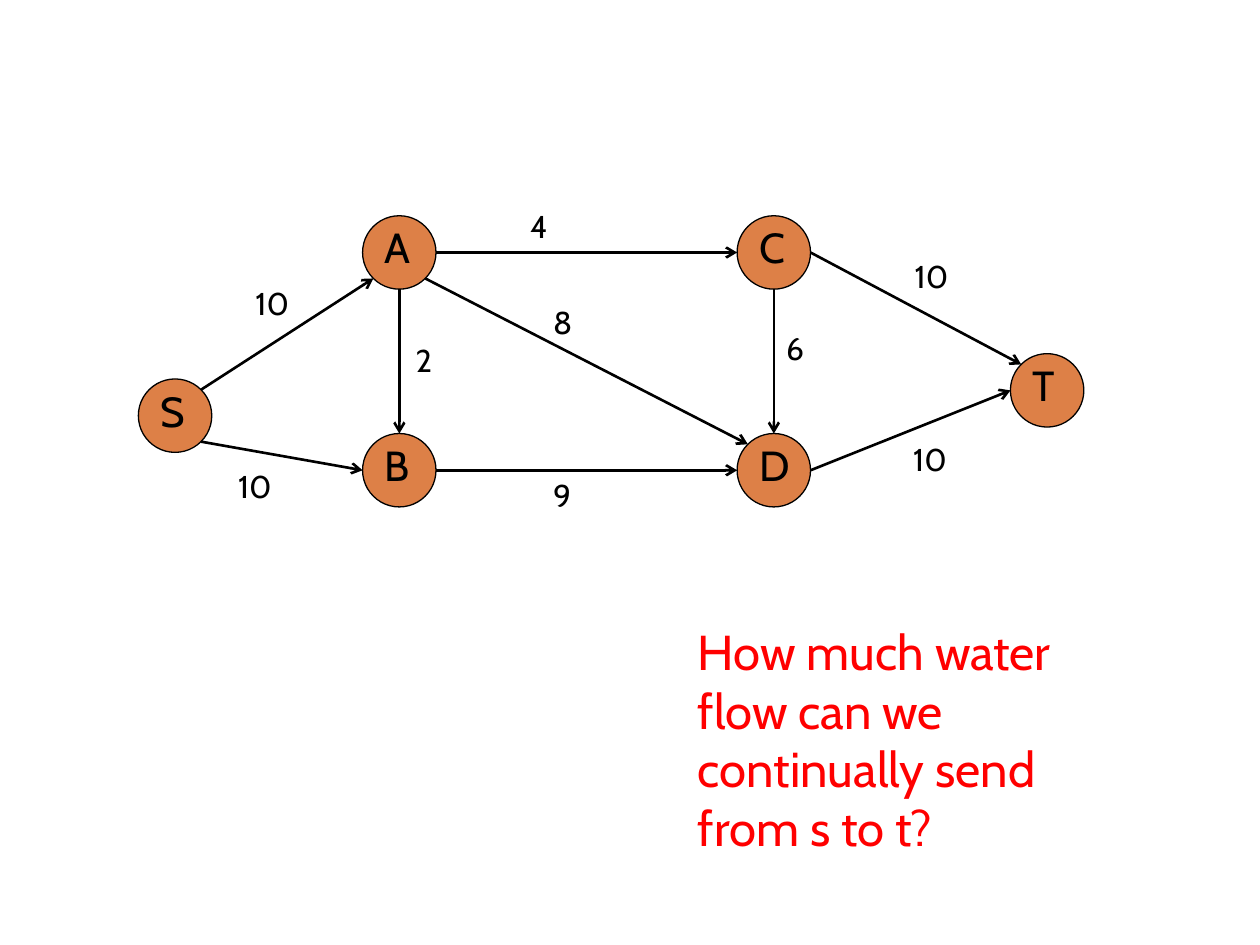
import math

import pptx
import pptx.dml.color
import pptx.enum.shapes
import pptx.enum.text
import pptx.util
from pptx.util import Cm
from lxml import etree

NODES = {
    "S": (3.53, 8.38),
    "A": (8.05, 5.09),
    "B": (8.05, 9.48),
    "C": (15.6, 5.09),
    "D": (15.6, 9.48),
    "T": (21.11, 7.87),
}
SIDES = {
    "right": 0, "lower right": 45, "bottom": 90, "lower left": 135,
    "left": 180, "upper left": 225, "top": 270, "upper right": 315,
}
EDGES = [
    ("S", "upper right", "A", "lower left", "10", (4.9, 5.61, 1.9)),
    ("S", "lower right", "B", "left", "10", (4.55, 9.3, 1.9)),
    ("A", "right", "C", "left", "4", (10.44, 4.04, 2.36)),
    ("A", "bottom", "B", "top", "2", (8.13, 6.76, 1.9)),
    ("A", "lower right", "D", "upper left", "8", (10.9, 5.99, 2.4)),
    ("B", "right", "D", "left", "9", (10.9, 9.47, 1.9)),
    ("C", "bottom", "D", "top", "6", (15.6, 6.5, 1.9)),
    ("C", "right", "T", "upper left", "10", (18.19, 5.05, 2.4)),
    ("D", "right", "T", "left", "10", (18.16, 8.74, 2.4)),
]
QUESTION = "How much water flow can we continually send from s to t?"

RADIUS = 0.74
LETTER_SIZE = 1.27
LETTER_SHIFT = 0.2
LABEL_HEIGHT = 1.02


def color(value):
    return pptx.dml.color.RGBColor.from_string(value)


def add_text(shapes, text, left, top, width, height, size=18, ink="000000"):
    box = shapes.add_textbox(Cm(left), Cm(top), Cm(width), Cm(height))
    frame = box.text_frame
    frame.word_wrap = True
    frame.auto_size = pptx.enum.text.MSO_AUTO_SIZE.SHAPE_TO_FIT_TEXT
    span = frame.paragraphs[0].add_run()
    span.text = text
    span.font.name = "Cabin"
    span.font.size = pptx.util.Pt(size)
    span.font.color.rgb = color(ink)


def add_node(page, name):
    x, y = NODES[name]
    left, top = x - RADIUS, y - RADIUS
    group = page.shapes.add_group_shape()
    circle = group.shapes.add_shape(
        pptx.enum.shapes.MSO_SHAPE.OVAL,
        Cm(left), Cm(top), Cm(2 * RADIUS), Cm(2 * RADIUS))
    circle.shadow.inherit = False
    circle.fill.solid()
    circle.fill.fore_color.rgb = color("DD8047")
    circle.line.color.rgb = color("000000")
    circle.line.width = pptx.util.Pt(0.75)
    add_text(group.shapes, name, left + LETTER_SHIFT, top,
             LETTER_SIZE, LETTER_SIZE, size=24)


def rim_point(name, side):
    x, y = NODES[name]
    angle = math.radians(SIDES[side])
    return Cm(x + RADIUS * math.cos(angle)), Cm(y + RADIUS * math.sin(angle))


def add_arrow(page, start, end):
    arrow = page.shapes.add_connector(
        pptx.enum.shapes.MSO_CONNECTOR.STRAIGHT, *start, *end)
    arrow.line.color.rgb = color("000000")
    arrow.line.width = pptx.util.Pt(1.5)
    properties = arrow.element.spPr
    outline = properties.find(pptx.oxml.ns.qn("a:ln"))
    etree.SubElement(outline, pptx.oxml.ns.qn("a:tailEnd"), type="arrow")
    etree.SubElement(properties, pptx.oxml.ns.qn("a:effectLst"))


def main():
    deck = pptx.Presentation()
    deck.slide_width, deck.slide_height = Cm(25.4), Cm(19.05)
    page = deck.slides.add_slide(deck.slide_layouts[6])
    for name in NODES:
        add_node(page, name)
    for source, source_side, target, target_side, capacity, place in EDGES:
        add_arrow(page, rim_point(source, source_side),
                  rim_point(target, target_side))
        left, top, width = place
        add_text(page.shapes, capacity, left, top, width, LABEL_HEIGHT)
    add_text(page.shapes, QUESTION, 13.82, 12.4, 9.47, 3.84,
             size=28, ink="FF0000")
    deck.save("out.pptx")


if __name__ == "__main__":
    main()
